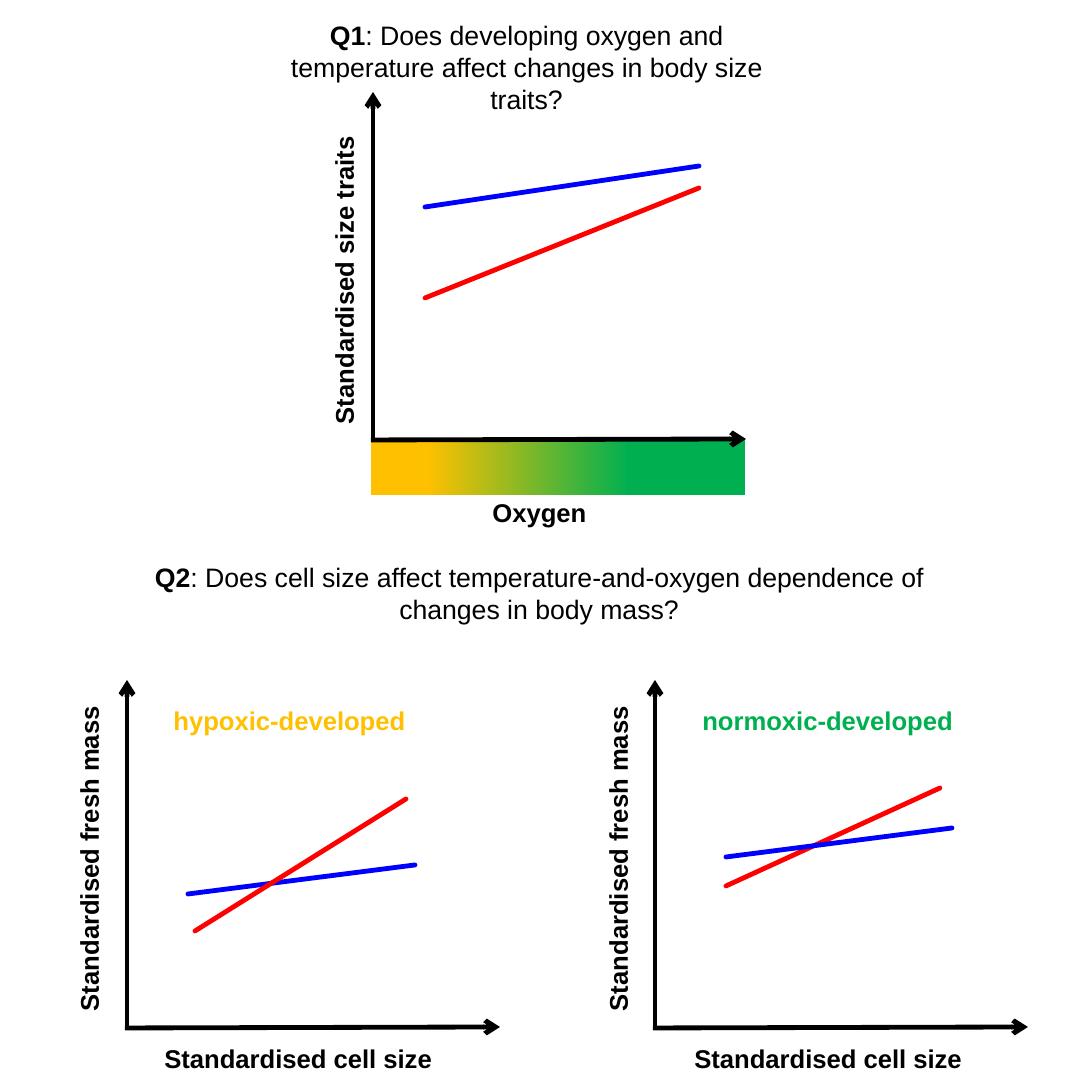
import pptx
import pptx.util
import pptx.dml.color
import pptx.enum.shapes
import pptx.enum.text
import pptx.oxml
import pptx.oxml.ns

SCALE = 7910  # EMU per pixel
SIDE = 1092
THEME = {
    "font": "Arial", "question_size": 16.6, "label_size": 16, "line_width": 3,
    "black": "000000", "warm": "FF0000", "cool": "0000FF",
    "hypoxic": "FFC000", "normoxic": "00B050",
}
LABEL_HEIGHT = 43
AXIS_UP, AXIS_RIGHT = 348, 373

deck = pptx.Presentation()
deck.slide_width = deck.slide_height = SIDE * SCALE
page = deck.slides.add_slide(deck.slide_layouts[6])


def add_text(area, spans, size, color="black", wrap=True, turn=0, centred=False):
    """Add a text box from (text, bold) spans."""
    box = page.shapes.add_textbox(*[value * SCALE for value in area])
    box.rotation = turn
    box.text_frame.word_wrap = wrap
    para = box.text_frame.paragraphs[0]
    if centred:
        para.alignment = pptx.enum.text.PP_ALIGN.CENTER
    for text, bold in spans:
        span = para.add_run()
        span.text = text
        span.font.name = THEME["font"]
        span.font.size = pptx.util.Pt(THEME[size])
        span.font.bold = bold
        span.font.color.rgb = pptx.dml.color.RGBColor.from_string(THEME[color])


def add_line(ends, color, arrow=False):
    """Add a straight line; an arrow points at its first end."""
    line = page.shapes.add_connector(
        pptx.enum.shapes.MSO_CONNECTOR.STRAIGHT, *[value * SCALE for value in ends])
    line.line.width = pptx.util.Pt(THEME["line_width"])
    line.line.color.rgb = pptx.dml.color.RGBColor.from_string(THEME[color])
    properties = line._element.spPr
    outline = properties.find(pptx.oxml.ns.qn("a:ln"))
    if arrow:
        head = pptx.oxml.parse_xml(
            "<a:headEnd %s type='arrow'/>" % pptx.oxml.ns.nsdecls("a"))
        outline.append(head)
    else:
        outline.set("cap", "rnd")
    properties.append(pptx.oxml.parse_xml(
        "<a:effectLst %s/>" % pptx.oxml.ns.nsdecls("a")))


# Questions
questions = [
    ((267, 13, 519, 109), "Q1",
     ": Does developing oxygen and temperature affect changes in body size traits?"),
    ((106, 555, 866, 76), "Q2",
     ": Does cell size affect temperature-and-oxygen dependence of changes in body mass?"),
]
for area, number, question in questions:
    add_text(area, [(number, True), (question, False)], "question_size", centred=True)

# Oxygen gradient under the first plot
oxygen_bar = page.shapes.add_shape(
    pptx.enum.shapes.MSO_SHAPE.RECTANGLE,
    *[value * SCALE for value in (371, 439, 374, 56)])
oxygen_bar.shadow.inherit = False
oxygen_bar.line.fill.background()
oxygen_bar.fill.gradient()
oxygen_bar.fill.gradient_angle = 0
stops = oxygen_bar.fill.gradient_stops
for stop, color, position in zip(stops, ("hypoxic", "normoxic"), (0.15, 0.69)):
    stop.color.rgb = pptx.dml.color.RGBColor.from_string(THEME[color])
    stop.position = position

# Plots: origin, axis labels (left, top, width), trend lines in drawing order
plots = [
    {"origin": (373, 440),
     "x_label": ("Oxygen", 481, 491, 163),
     "y_label": ("Standardised size traits", 187, 257, 314),
     "trends": [("warm", (425, 298, 699, 188)), ("cool", (425, 207, 699, 166))]},
    {"origin": (127, 1028),
     "x_label": ("Standardised cell size", 153, 1037, 295),
     "y_label": ("Standardised fresh mass", -77, 835, 332),
     "trends": [("cool", (188, 894, 415, 865)), ("warm", (195, 931, 406, 799))]},
    {"origin": (655, 1028),
     "x_label": ("Standardised cell size", 683, 1037, 295),
     "y_label": ("Standardised fresh mass", 452, 835, 332),
     "trends": [("warm", (726, 886, 940, 788)), ("cool", (726, 857, 952, 828))]},
]
for plot in plots:
    for key, turn in (("x_label", 0), ("y_label", 270)):
        text, left, top, width = plot[key]
        add_text((left, top, width, LABEL_HEIGHT), [(text, True)], "label_size",
                 wrap=False, turn=turn)
    for color, ends in plot["trends"]:
        add_line(ends, color)
    x, y = plot["origin"]
    add_line((x, y - AXIS_UP, x, y), "black", arrow=True)
    add_line((x + AXIS_RIGHT, y - 1, x - 2, y), "black", arrow=True)

# Headings of the lower plots
for text, color, left, width in [("hypoxic-developed", "hypoxic", 162, 261),
                                 ("normoxic-developed", "normoxic", 691, 276)]:
    add_text((left, 699, width, LABEL_HEIGHT), [(text, True)], "label_size", color)

deck.save("out.pptx")
